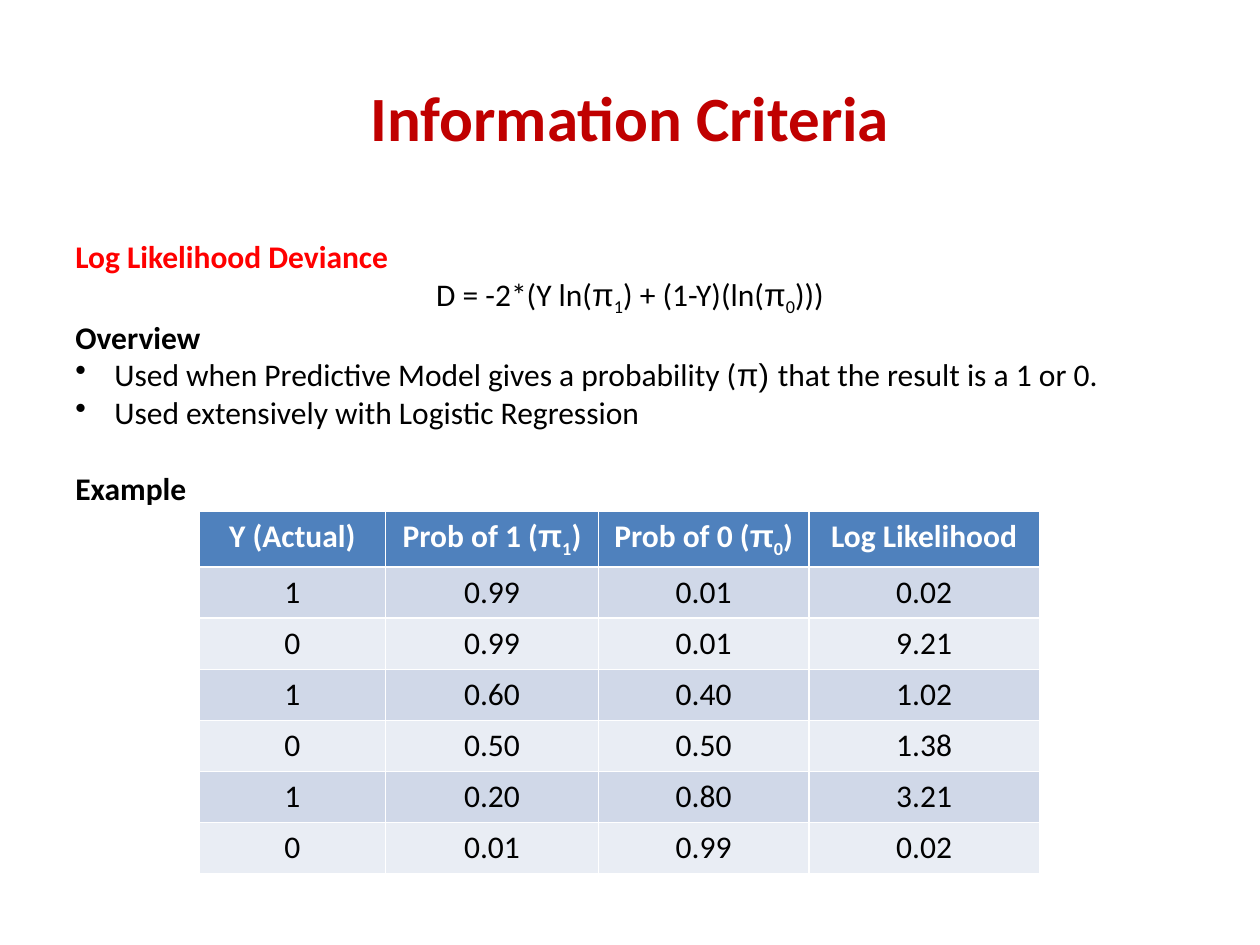
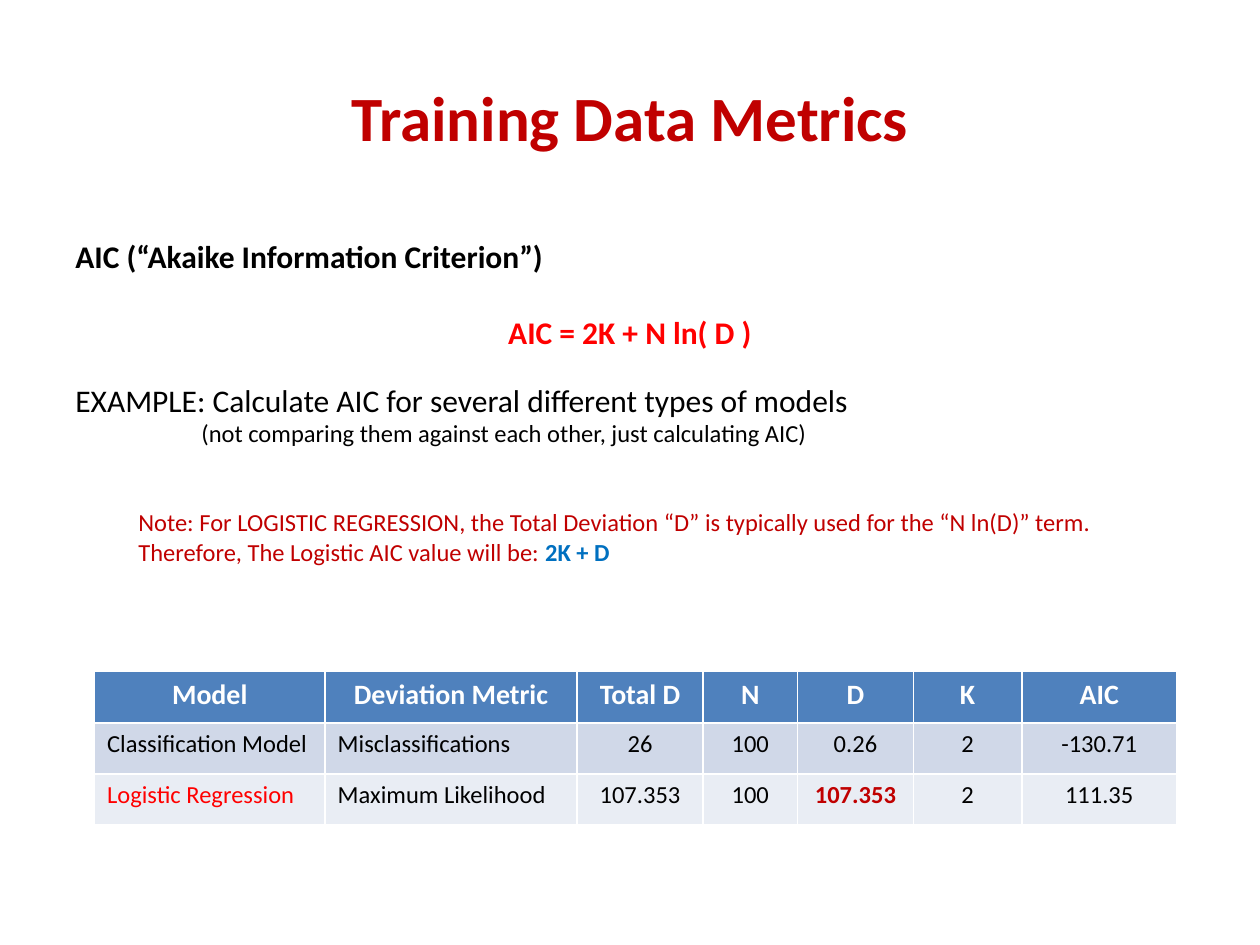
"""Build two slides on log likelihood deviance and the Akaike criterion."""
from lxml import etree
from pptx import Presentation
from pptx.dml.color import RGBColor
from pptx.enum.text import MSO_ANCHOR, MSO_AUTO_SIZE, PP_ALIGN
from pptx.oxml.ns import qn
from pptx.util import Inches, Pt

LEFT, CENTER = PP_ALIGN.LEFT, PP_ALIGN.CENTER
MIDDLE = MSO_ANCHOR.MIDDLE
GROW = MSO_AUTO_SIZE.SHAPE_TO_FIT_TEXT

BLACK = RGBColor(0x00, 0x00, 0x00)
WHITE = RGBColor(0xFF, 0xFF, 0xFF)
RED = RGBColor(0xFF, 0x00, 0x00)
DARK_RED = RGBColor(0xC0, 0x00, 0x00)
BLUE = RGBColor(0x00, 0x70, 0xC0)
HEADER_FILL = RGBColor(0x4F, 0x81, 0xBD)
BAND_FILLS = [RGBColor(0xE9, 0xED, 0xF4), RGBColor(0xD0, 0xD8, 0xE8)]

TEXT_FONT, SYMBOL_FONT = "Calibri", "Arial"
BULLET_INDENT = Inches(0.31)
BLANK_18, BLANK_14 = 22, 17


def write(paragraph, text, size=18, color=BLACK, bold=False, align=LEFT):
    """Fill a paragraph; "|" parts runs, "π" takes the symbol font, "_" lowers a run."""
    paragraph.alignment = align
    paragraph.font.name = TEXT_FONT
    paragraph.font.size = Pt(size)
    paragraph.font.bold = bold
    paragraph.font.color.rgb = color
    for part in text.split("|"):
        run = paragraph.add_run()
        run.text = part.removeprefix("_")
        if part.startswith("π"):
            run.font.name = SYMBOL_FONT
        elif part.startswith("_"):
            run._r.get_or_add_rPr().set("baseline", "-25000")


def indent(paragraph, left, bullet=False):
    """Set the left indent, with a hanging bullet if asked."""
    properties = paragraph._p.get_or_add_pPr()
    properties.set("marL", str(left))
    properties.set("indent", str(-left if bullet else 0))
    if bullet:
        mark = etree.Element(qn("a:buChar"), char="•")
        properties.find(qn("a:defRPr")).addprevious(mark)


presentation = Presentation()
presentation.slide_width = Inches(10)
presentation.slide_height = Inches(7.5)
blank_layout = presentation.slide_layouts[6]
margin = Inches(0.5)
content_width = presentation.slide_width - 2 * margin

deviance_lines = [
    ("Log Likelihood Deviance", dict(color=RED, bold=True), 0, 0, False),
    ("D = -2*(Y ln(|π|_1|) + (1-Y)(ln(|π|_0|)))", dict(align=CENTER), 0, 0, False),
    ("Overview", dict(bold=True), 0, 0, False),
    ("Used when Predictive Model gives a probability (|π) |that the result is a 1 or 0.",
     {}, 0, BULLET_INDENT, True),
    ("Used extensively with Logistic Regression", {}, 0, BULLET_INDENT, True),
    ("Example", dict(bold=True), BLANK_18, 0, False),
]
aic_lines = [
    ("AIC (“Akaike Information Criterion”)", dict(bold=True), 0, 0, False),
    ("AIC = 2K + N ln( D )", dict(color=RED, bold=True, align=CENTER), BLANK_18, 0, False),
    ("EXAMPLE: Calculate AIC for several different types of models", {}, BLANK_14, 0, False),
    ("(not comparing them against each other, just calculating AIC)",
     dict(size=14), 0, Inches(1), False),
    ("Note: For LOGISTIC REGRESSION, the Total Deviation “D” is typically used for the "
     "“N ln(D)” term. Therefore, The Logistic AIC value will be: |2K + D",
     dict(size=14, color=DARK_RED), 2 * BLANK_14, Inches(0.5), False),
]
likelihood_rows = [
    ["Y (Actual)", "Prob of 1 (|π|_1|)", "Prob of 0 (|π|_0|)", "Log Likelihood"],
    ["1", "0.99", "0.01", "0.02"],
    ["0", "0.99", "0.01", "9.21"],
    ["1", "0.60", "0.40", "1.02"],
    ["0", "0.50", "0.50", "1.38"],
    ["1", "0.20", "0.80", "3.21"],
    ["0", "0.01", "0.99", "0.02"],
]
model_rows = [
    ["Model", "Deviation Metric", "Total D", "N", "D", "K", "AIC"],
    ["Classification Model", "Misclassifications", "26", "100", "0.26", "2", "-130.71"],
    ["Logistic Regression", "Maximum Likelihood", "107.353", "100", "107.353", "2", "111.35"],
]
likelihood_style = dict(left=1.58, top=4.06, height=2.84, widths=[1.48, 1.69, 1.67, 1.83],
                        header_size=18, body_size=18, label_columns=0)
model_style = dict(left=0.75, top=5.33, height=1.22,
                   widths=[1.83, 2, 1, 0.75, 0.92, 0.86, 1.23],
                   header_size=16, body_size=14, label_columns=2)

bodies, tables = [], []
for title, height, lines, rows, style in [
    ("Information Criteria", 2.22, deviance_lines, likelihood_rows, likelihood_style),
    ("Training Data Metrics", 2.73, aic_lines, model_rows, model_style),
]:
    slide = presentation.slides.add_slide(blank_layout)
    title_frame = slide.shapes.add_textbox(
        margin, Inches(0.3), content_width, Inches(1.25)).text_frame
    title_frame.word_wrap = True
    title_frame.vertical_anchor = MIDDLE
    write(title_frame.paragraphs[0], title, 36, DARK_RED, True, CENTER)

    body = slide.shapes.add_textbox(
        margin, Inches(1.83), content_width, Inches(height)).text_frame
    body.word_wrap = True
    body.auto_size = GROW
    for number, (text, look, space, left, bullet) in enumerate(lines):
        paragraph = body.add_paragraph() if number else body.paragraphs[0]
        write(paragraph, text, **look)
        paragraph.space_before = Pt(space)
        indent(paragraph, left, bullet)
    bodies.append(body)

    widths = [Inches(width) for width in style["widths"]]
    table = slide.shapes.add_table(
        len(rows), len(widths), Inches(style["left"]), Inches(style["top"]),
        sum(widths), Inches(style["height"])).table
    for column, width in zip(table.columns, widths):
        column.width = width
    for row_number, row in enumerate(rows):
        header = row_number == 0
        for column_number, text in enumerate(row):
            cell = table.cell(row_number, column_number)
            cell.fill.solid()
            cell.fill.fore_color.rgb = HEADER_FILL if header else BAND_FILLS[row_number % 2]
            label = not header and column_number < style["label_columns"]
            write(cell.text_frame.paragraphs[0], text,
                  style["header_size"] if header else style["body_size"],
                  WHITE if header else BLACK, header, LEFT if label else CENTER)
    tables.append(table)

aic_result = bodies[1].paragraphs[-1].runs[-1].font
aic_result.bold = True
aic_result.color.rgb = BLUE
tables[1].cell(2, 0).text_frame.paragraphs[0].font.color.rgb = RED
logistic_deviance = tables[1].cell(2, 4).text_frame.paragraphs[0].font
logistic_deviance.bold = True
logistic_deviance.color.rgb = DARK_RED

presentation.save("out.pptx")
